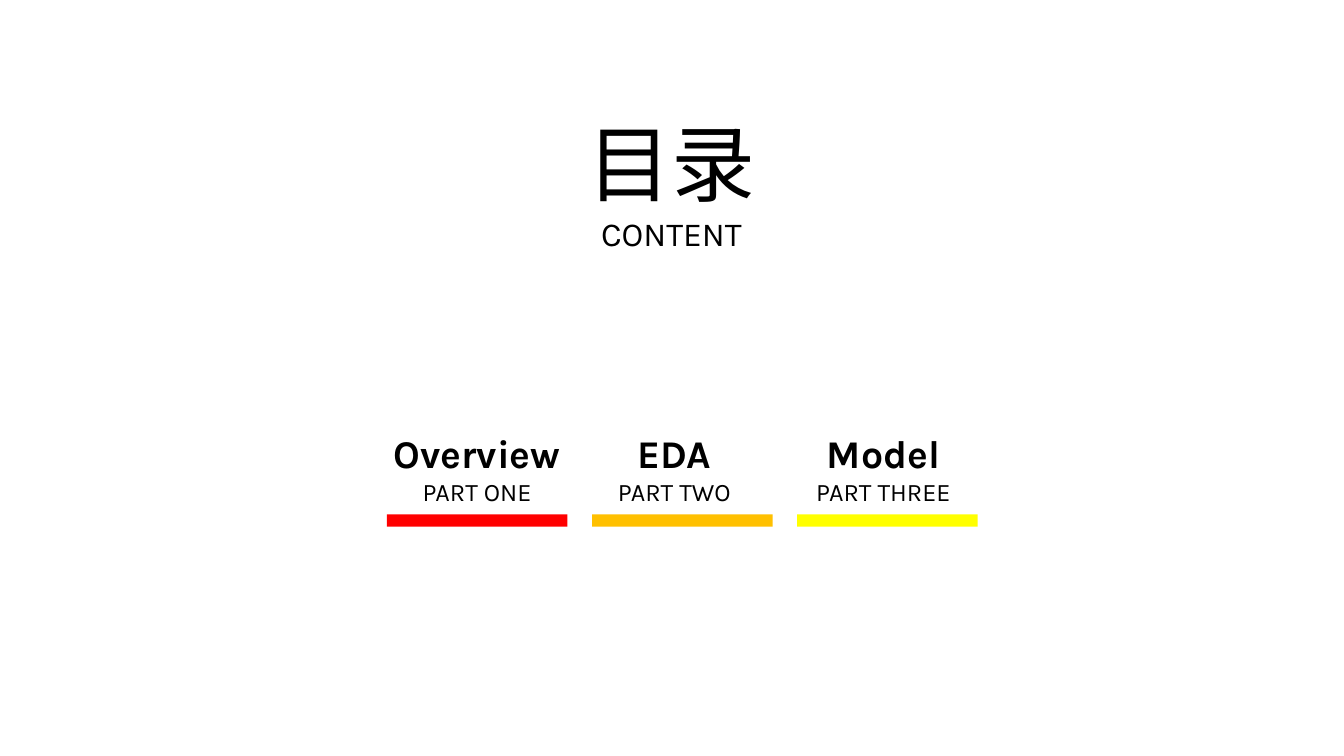
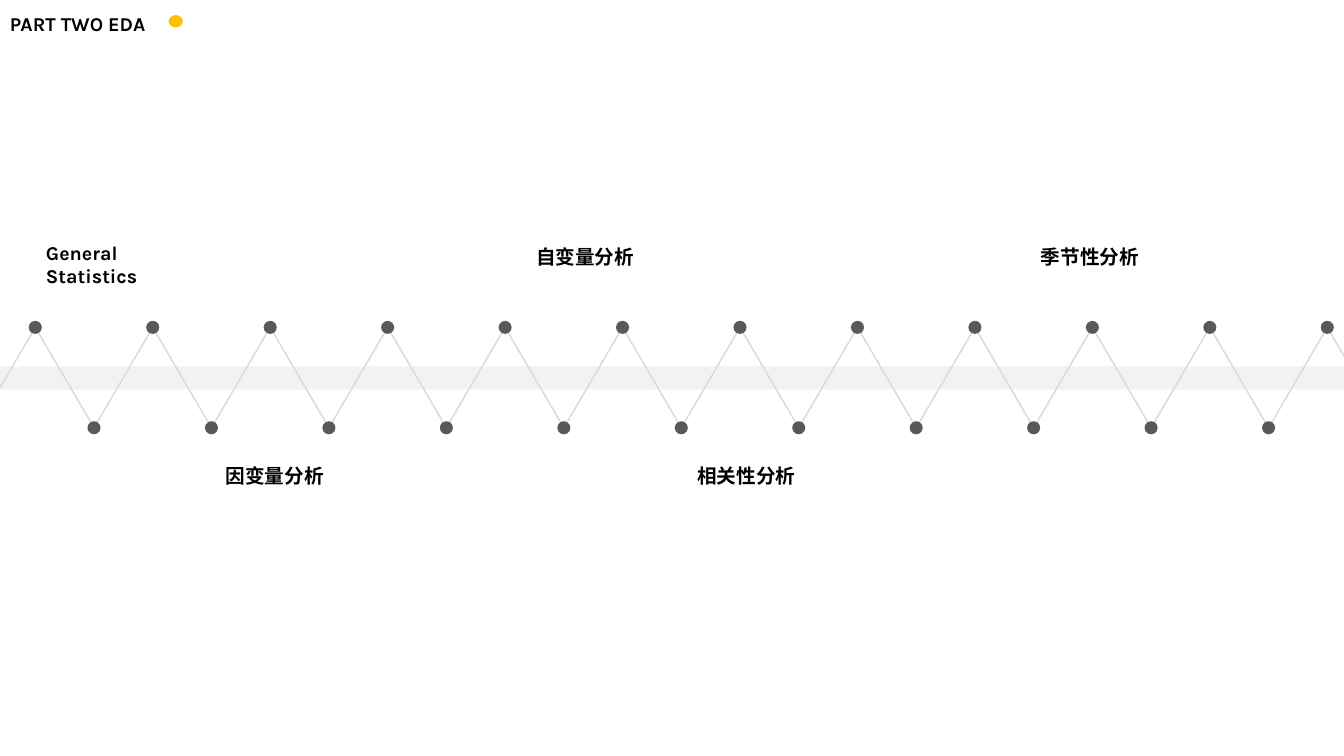
from lxml import etree
from pptx import Presentation
from pptx import util as u
from pptx.dml.color import RGBColor
from pptx.enum import shapes, text
from pptx.oxml.ns import qn

FONT = "Karla"
COLORS = {
    "text": "000000",
    "overview": "FF0000",
    "eda": "FFC000",
    "model": "FFFF00",
    "band": "F2F2F2",
    "zigzag": "D9D9D9",
    "dot": "595959",
    "background": "FFFFFF",
}
SLIDE_W, SLIDE_H = 33.87, 19.05
LEFT, CENTER = text.PP_ALIGN.LEFT, text.PP_ALIGN.CENTER
RECT = shapes.MSO_SHAPE.RECTANGLE
OVAL = shapes.MSO_SHAPE.OVAL
TRIANGLE = shapes.MSO_SHAPE.ISOSCELES_TRIANGLE


def color(name):
    return RGBColor.from_string(COLORS[name])


def cm_box(*lengths):
    return [u.Cm(length) for length in lengths]


def add_text(slide, box, lines, align=LEFT, bold=False, wrap=False, spacing=None):
    """Place (wording, point size) lines, one paragraph each."""
    frame = slide.shapes.add_textbox(*cm_box(*box)).text_frame
    frame.word_wrap = wrap
    frame.auto_size = text.MSO_AUTO_SIZE.SHAPE_TO_FIT_TEXT
    for i, (wording, size) in enumerate(lines):
        paragraph = frame.add_paragraph() if i else frame.paragraphs[0]
        paragraph.alignment = align
        if spacing:
            paragraph.line_spacing = spacing
        run = paragraph.add_run()
        run.text = wording
        run.font.name = FONT
        run.font.size = u.Pt(size)
        run.font.bold = bold
        run.font.color.rgb = color("text")


def add_figure(parent, preset, box, fill=None, outline=None):
    figure = parent.shapes.add_shape(preset, *cm_box(*box))
    figure.shadow.inherit = False
    if fill:
        figure.fill.solid()
        figure.fill.fore_color.rgb = color(fill)
    else:
        figure.fill.background()
    if outline:
        figure.line.color.rgb = color(outline)
        figure.line.width = u.Pt(1)
    else:
        figure.line.fill.background()


def add_line(parent, start, end, stroke, width):
    line = parent.shapes.add_connector(
        shapes.MSO_CONNECTOR.STRAIGHT, *cm_box(*start, *end))
    line.line.color.rgb = color(stroke)
    line.line.width = u.Pt(width)
    etree.SubElement(line._element.spPr, qn("a:effectLst"))


def add_part(slide, left, top, width, heading, caption, accent, text_shift):
    """Stack a heading, a caption and a coloured bar."""
    text_left = left + text_shift - 0.2
    text_width = width + 0.4
    add_text(slide, (text_left, top, text_width, 1.65), [(heading, 28)],
             CENTER, bold=True, wrap=True, spacing=1.3)
    add_text(slide, (text_left, top + 1.3, text_width, 1.24), [(caption, 18)],
             CENTER, wrap=True, spacing=1.3)
    add_figure(slide, RECT, (left, top + 2.62, width, 0.31), accent)


def add_section_mark(slide, left, top, title, accent):
    add_text(slide, (left, top, 4.19, 0.86), [(title, 14)], bold=True)
    add_figure(slide, OVAL, (left + 4.25, top + 0.2, 0.36, 0.31), accent)


def add_zigzag(slide, left, top, pitch, height, peaks):
    """Draw triangles over a band, hide their bases and dot every corner."""
    group = slide.shapes.add_group_shape()
    add_figure(group, RECT, (0, top + 0.98, SLIDE_W, 0.59), "band")
    for i in range(peaks):
        add_figure(group, TRIANGLE, (left + i * pitch, top, pitch, height),
                   outline="zigzag")
    bottom = top + height
    add_line(group, (left, bottom), (left + peaks * pitch, bottom), "background", 3)

    diameter = 0.33
    for corner in range(1, 2 * peaks):
        x = left + corner * pitch / 2
        y = top if corner % 2 else bottom
        add_figure(slide, OVAL,
                   (x - diameter / 2, y - diameter / 2, diameter, diameter), "dot")


def contents_slide(slide):
    add_text(slide, (14.53, 2.69, 4.78, 3.84), [("目录", 60), ("CONTENT", 24)], CENTER)
    parts = [
        ("Overview", "PART ONE", "overview", 0),
        ("EDA", "PART TWO", "eda", -0.2),
        ("Model", "PART THREE", "model", -0.1),
    ]
    for i, part in enumerate(parts):
        add_part(slide, 9.75 + i * 5.17, 10.34, 4.55, *part)


def timeline_slide(slide):
    add_section_mark(slide, 0, 0.18, "PART TWO EDA", "eda")
    add_zigzag(slide, -0.59, 8.25, 2.96, 2.53, 12)
    above, below = 6.05, 11.56
    add_text(slide, (0.91, 5.94, 3.5, 1.46), [("General Statistics", 14)],
             bold=True, wrap=True)
    topics = [
        ("自变量分析", 13.26, above),
        ("季节性分析", 25.98, above),
        ("因变量分析", 5.44, below),
        ("相关性分析", 17.32, below),
    ]
    for topic, left, top in topics:
        add_text(slide, (left, top, 3, 0.86), [(topic, 14)], bold=True)


def main():
    deck = Presentation()
    deck.slide_width, deck.slide_height = cm_box(SLIDE_W, SLIDE_H)
    blank = deck.slide_layouts[6]
    for build in (contents_slide, timeline_slide):
        build(deck.slides.add_slide(blank))
    deck.save("out.pptx")


if __name__ == "__main__":
    main()
